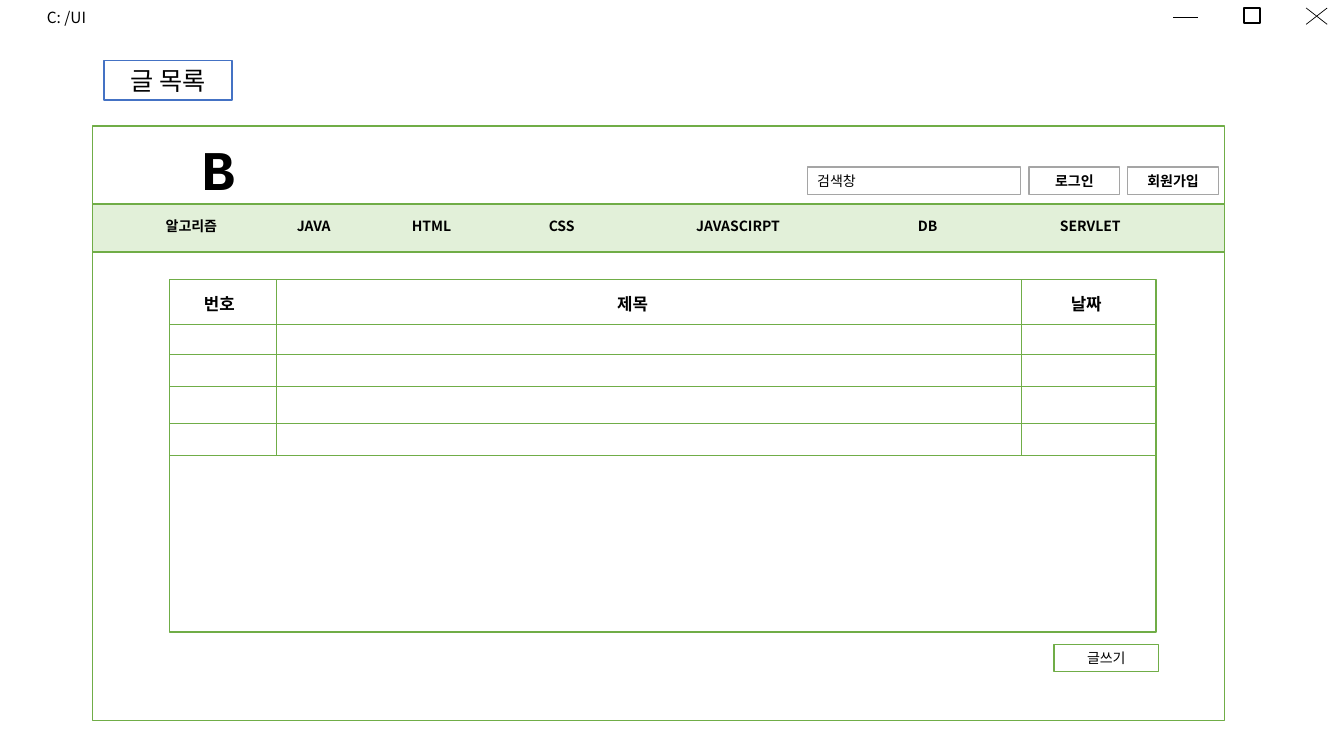
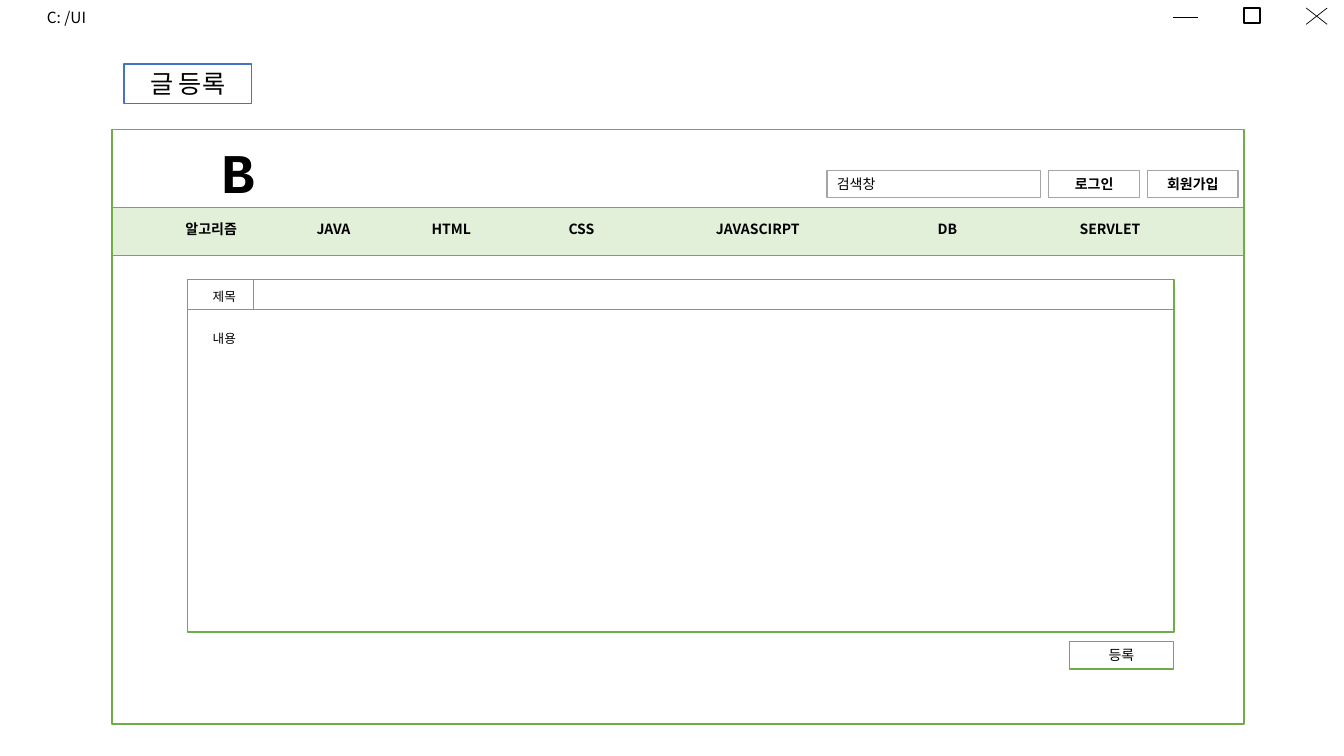
import pptx
import pptx.dml.color
import pptx.enum.shapes
import pptx.enum.text
import pptx.oxml
import pptx.oxml.ns
import pptx.util

# Grid shared by all slides
COLUMNS, ROWS = 160, 90

# Style
BLACK, WHITE, GREEN, PALE_GREEN, BLUE, GRAY = (
    "000000", "FFFFFF", "70AD47", "E2F0D9", "4472C4", "A5A5A5")
FONT, MENU_FONT, LOGO_FONT = "Noto Sans CJK KR", "Noto Sans CJK JP", "Courier New"

# Parts of the site frame: columns and rows from its top left corner
FRAME_WIDTH, FRAME_HEIGHT = 134.75, 70.8
BAND_TOP, BAND_HEIGHT = 9.3, 5.7
MENU = [("알고리즘", 7.55), ("JAVA", 23.15), ("HTML", 36.85), ("CSS", 53.15),
        ("JAVASCIRPT", 70.7), ("DB", 97.1), ("SERVLET", 114)]
ACCOUNT_BUTTONS = [("로그인", 111.5), ("회원가입", 123.25)]

# Body panel and its button
PANEL_TOP, PANEL_WIDTH, PANEL_HEIGHT = 33.25, 117.4, 42
BUTTON_WIDTH, BUTTON_HEIGHT = 12.4, 3.25


def color(hex_string):
    return pptx.dml.color.RGBColor.from_string(hex_string)


class Wireframe:
    """Holds the style and the current slide; lengths are columns and rows."""

    def __init__(self, presentation):
        self.presentation = presentation
        self.slide = None

    def x(self, columns):
        return round(self.presentation.slide_width * columns / COLUMNS)

    def y(self, rows):
        return round(self.presentation.slide_height * rows / ROWS)

    def place(self, left, top, width, height):
        return self.x(left), self.y(top), self.x(width), self.y(height)

    def new_slide(self):
        self.slide = self.presentation.slides.add_slide(
            self.presentation.slide_layouts[6])
        self.window_bar()

    def set_text(self, shape, text, size, bold, font, centered):
        frame = shape.text_frame
        frame.text = text
        frame.word_wrap = True
        frame.auto_size = pptx.enum.text.MSO_AUTO_SIZE.SHAPE_TO_FIT_TEXT
        paragraph = frame.paragraphs[0]
        alignment = pptx.enum.text.PP_ALIGN
        paragraph.alignment = alignment.CENTER if centered else alignment.LEFT
        run = paragraph.runs[0]
        run.font.size = pptx.util.Pt(size)
        run.font.bold = bold
        run.font.name = font
        run.font.color.rgb = color(BLACK)
        # Hangul takes the East Asian typeface
        east_asian = pptx.oxml.parse_xml(
            f'<a:ea {pptx.oxml.ns.nsdecls("a")} typeface="{font}"/>')
        run.font._element.find(pptx.oxml.ns.qn("a:latin")).addnext(east_asian)

    def text(self, text, left, top, width, height, size=10, bold=False, font=FONT):
        box = self.slide.shapes.add_textbox(*self.place(left, top, width, height))
        self.set_text(box, text, size, bold, font, False)

    def box(self, left, top, width, height, line, fill=WHITE, text="",
            size=10, bold=False, centered=True):
        shape = self.slide.shapes.add_shape(
            pptx.enum.shapes.MSO_SHAPE.RECTANGLE,
            *self.place(left, top, width, height))
        shape.shadow.inherit = False
        shape.fill.solid()
        shape.fill.fore_color.rgb = color(fill)
        shape.line.color.rgb = color(line)
        shape.line.width = pptx.util.Pt(1)
        if text:
            self.set_text(shape, text, size, bold, FONT, centered)

    def line(self, left, top, right, bottom, line=GREEN):
        connector = self.slide.shapes.add_connector(
            pptx.enum.shapes.MSO_CONNECTOR.STRAIGHT,
            self.x(left), self.y(top), self.x(right), self.y(bottom))
        connector.line.color.rgb = color(line)
        connector.line.width = pptx.util.Pt(0.5)
        connector._element.spPr.append(
            pptx.oxml.parse_xml(f'<a:effectLst {pptx.oxml.ns.nsdecls("a")}/>'))

    def window_bar(self):
        self.text("C: /UI", 4.4, 0.35, 28, 3.5, size=11)
        self.line(139.7, 2.05, 142.6, 2.05, BLACK)
        self.box(148.1, 0.95, 1.9, 1.8, BLACK)
        self.line(155.5, 0.95, 158, 2.9, BLACK)
        self.line(158, 0.95, 155.5, 2.9, BLACK)

    def site_frame(self, title, left, top):
        self.box(left, top, FRAME_WIDTH, FRAME_HEIGHT, GREEN)
        self.box(left, top + BAND_TOP, FRAME_WIDTH, BAND_HEIGHT, GREEN, PALE_GREEN)
        self.box(left + 1.4, top - 7.8, 15.2, 4.7, BLUE, text=title, size=18)
        for edge in (BAND_TOP, BAND_TOP + BAND_HEIGHT):
            self.line(left, top + edge, left + FRAME_WIDTH, top + edge)
        for label, offset in MENU:
            width = 13.2 if len(label) > 8 else 10.1
            self.text(label, left + offset, top + 10.3, width, 3.2,
                      bold=True, font=MENU_FONT)
        self.box(left + 85.1, top + 4.9, 25.4, BUTTON_HEIGHT, GRAY,
                 text="검색창", centered=False)
        for label, offset in ACCOUNT_BUTTONS:
            self.box(left + offset, top + 4.9, 10.8, BUTTON_HEIGHT, GRAY,
                     text=label, bold=True)
        self.text("B", left + 11.8, top + 0.4, 10.9, 9.2,
                  size=40, bold=True, font=LOGO_FONT)

    def panel(self, left, row_lines, column_lines, column_bottom):
        self.box(left, PANEL_TOP, PANEL_WIDTH, PANEL_HEIGHT, GREEN)
        for row in row_lines:
            self.line(left, PANEL_TOP + row, left + PANEL_WIDTH, PANEL_TOP + row)
        for column in column_lines:
            self.line(left + column, PANEL_TOP,
                      left + column, PANEL_TOP + column_bottom)

    def action_button(self, text, left, top):
        self.box(left, top, BUTTON_WIDTH, BUTTON_HEIGHT, GREEN, text=text)


def post_list(wireframe):
    wireframe.new_slide()
    wireframe.site_frame("글 목록", 11, 15)
    left = 20.2
    wireframe.panel(left, (5.4, 8.9, 12.75, 17.15, 21), (12.75, 101.45), 21)
    for heading, offset, width in (
            ("번호", 2.9, 7.9), ("제목", 52.1, 12.4), ("날짜", 106.1, 12.4)):
        wireframe.text(heading, left + offset, PANEL_TOP + 1.1, width, 3.6,
                       size=12, bold=True)
    wireframe.action_button("글쓰기", 125.5, 76.7)


def post_form(wireframe):
    wireframe.new_slide()
    wireframe.site_frame("글 등록", 13.35, 15.4)
    left = 22.35
    wireframe.panel(left, (3.6,), (7.8,), 3.5)
    for label, offset in (("제목", 0.5), ("내용", 5.5)):
        wireframe.text(label, left + 1.8, PANEL_TOP + offset, 12.4, 3, size=9)
    wireframe.action_button("등록", 127.3, 76.4)


def main():
    presentation = pptx.Presentation()
    presentation.slide_width = pptx.util.Inches(13.33)
    presentation.slide_height = pptx.util.Inches(7.5)
    wireframe = Wireframe(presentation)
    post_list(wireframe)
    post_form(wireframe)
    presentation.save("out.pptx")


if __name__ == "__main__":
    main()
